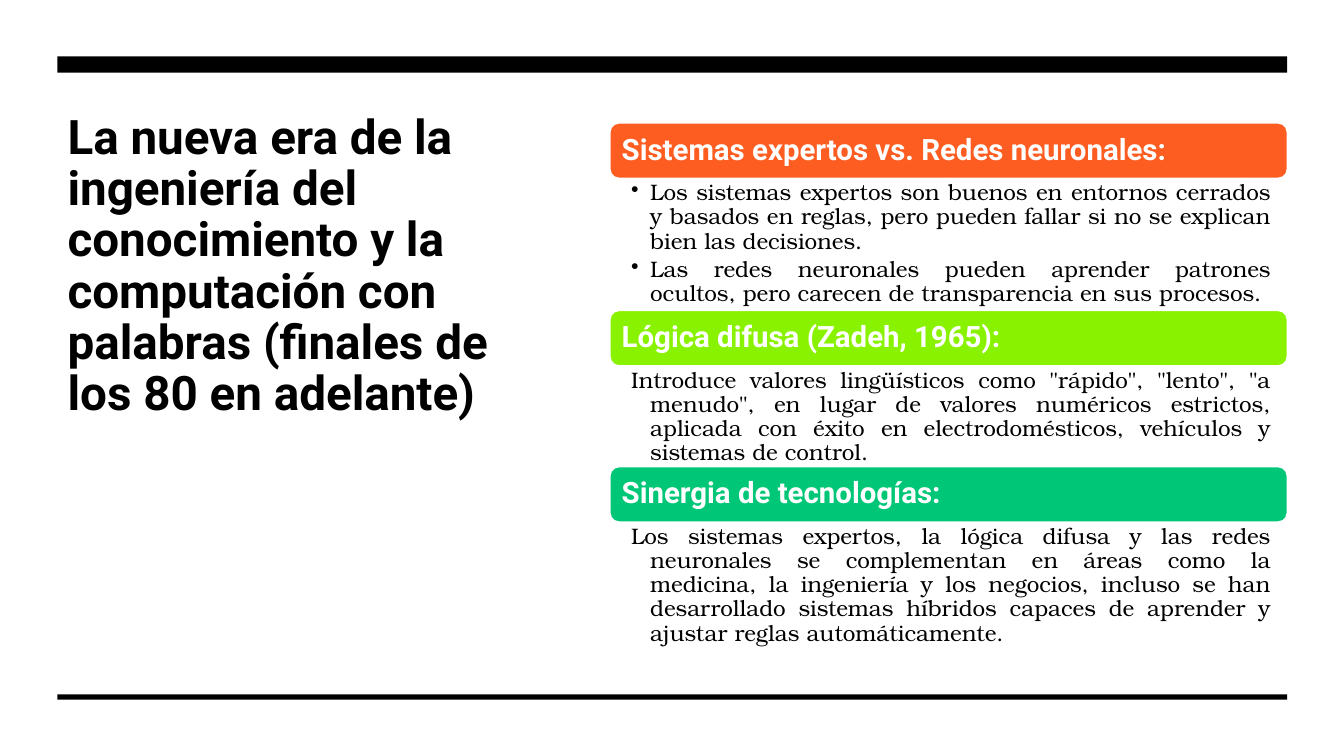
from lxml import etree
from pptx import Presentation
from pptx.dml.color import RGBColor
from pptx.enum.shapes import MSO_SHAPE
from pptx.enum.text import MSO_ANCHOR, MSO_AUTO_SIZE, PP_ALIGN
from pptx.oxml.ns import qn
from pptx.util import Inches, Pt

RECT, ROUNDED = MSO_SHAPE.RECTANGLE, MSO_SHAPE.ROUNDED_RECTANGLE
TOP, MIDDLE = MSO_ANCHOR.TOP, MSO_ANCHOR.MIDDLE
LEFT, JUSTIFY = PP_ALIGN.LEFT, PP_ALIGN.JUSTIFY
NO_FIT = MSO_AUTO_SIZE.NONE

COLORS = {
    "black": "000000",
    "white": "FFFFFF",
    "orange": "FE5D21",
    "lime": "89F201",
    "green": "00C777",
}
HEADING_FONT, BODY_FONT = "Roboto", "TeX Gyre Bonum"

SECTIONS = [
    ("Sistemas expertos vs. Redes neuronales:", "orange", 17.47, "•", [
        "Los sistemas expertos son buenos en entornos cerrados y basados en reglas, "
        "pero pueden fallar si no se explican bien las decisiones.",
        "Las redes neuronales pueden aprender patrones ocultos, "
        "pero carecen de transparencia en sus procesos.",
    ]),
    ("Lógica difusa (Zadeh, 1965):", "lime", 13.33, None, [
        'Introduce valores lingüísticos como "rápido", "lento", "a menudo", '
        "en lugar de valores numéricos estrictos, aplicada con éxito en "
        "electrodomésticos, vehículos y sistemas de control.",
    ]),
    ("Sinergia de tecnologías:", "green", 16.53, None, [
        "Los sistemas expertos, la lógica difusa y las redes neuronales se "
        "complementan en áreas como la medicina, la ingeniería y los negocios, "
        "incluso se han desarrollado sistemas híbridos capaces de aprender y "
        "ajustar reglas automáticamente.",
    ]),
]

deck = Presentation()
deck.slide_width, deck.slide_height = Inches(13.33), Inches(7.5)
slide = deck.slides.add_slide(deck.slide_layouts[5])
slide.background.fill.solid()
slide.background.fill.fore_color.rgb = RGBColor.from_string(COLORS["white"])


def area(left, top, width, height):
    column, row = deck.slide_width / 100, deck.slide_height / 100
    return [round(n) for n in (left * column, top * row, width * column, height * row)]


def write(frame, paragraphs, size, font, color="black", bold=False, align=LEFT,
          anchor=TOP, insets=(0.1, 0.05, 0.1, 0.05), after=0, hanging=0, bullet=None):
    frame.word_wrap = True
    frame.auto_size = NO_FIT
    frame.vertical_anchor = anchor
    (frame.margin_left, frame.margin_top,
     frame.margin_right, frame.margin_bottom) = map(Inches, insets)
    for index, text in enumerate(paragraphs):
        paragraph = frame.add_paragraph() if index else frame.paragraphs[0]
        paragraph.alignment = align
        paragraph.line_spacing = 0.9
        paragraph.space_before, paragraph.space_after = Pt(0), Pt(after)
        run = paragraph.add_run()
        run.text = text
        run.font.size, run.font.name, run.font.bold = Pt(size), font, bold
        run.font.color.rgb = RGBColor.from_string(COLORS[color])
        if hanging:
            paragraph.level = 1
            properties = paragraph._p.get_or_add_pPr()
            properties.set("marL", str(Inches(hanging)))
            properties.set("indent", str(-Inches(hanging)))
            if bullet:
                etree.SubElement(properties, qn("a:buChar")).set("char", bullet)
            else:
                etree.SubElement(properties, qn("a:buNone"))


MARGIN, CONTENT_WIDTH = 4.28, 91.5
PANEL_LEFT, PANEL_WIDTH = 45.38, 50.4
PANEL_TOP, HEADING_HEIGHT = 16.27, 7.33

title = slide.shapes.title
title.left, title.top, title.width, title.height = area(MARGIN, 14.27, 35.18, 49.07)
write(title.text_frame,
      ["La nueva era de la ingeniería del conocimiento y la computación "
       "con palabras (finales de los 80 en adelante)"],
      34, HEADING_FONT, bold=True)

for rule_top, thickness in ((7.47, 2.13), (91.87, 0.67)):
    rule = slide.shapes.add_shape(RECT, *area(MARGIN, rule_top, CONTENT_WIDTH, thickness))
    rule.shadow.inherit = False
    rule.fill.solid()
    rule.fill.fore_color.rgb = RGBColor.from_string(COLORS["black"])
    rule.line.fill.background()

section_top = PANEL_TOP
for heading, color, details_height, bullet, details in SECTIONS:
    banner = slide.shapes.add_shape(
        ROUNDED, *area(PANEL_LEFT, section_top, PANEL_WIDTH, HEADING_HEIGHT))
    banner.shadow.inherit = False
    banner.fill.solid()
    banner.fill.fore_color.rgb = RGBColor.from_string(COLORS[color])
    banner.line.color.rgb = RGBColor.from_string(COLORS["white"])
    banner.line.width = Pt(1)
    write(banner.text_frame, [heading], 21, HEADING_FONT, color="white", bold=True,
          anchor=MIDDLE, insets=(0.09, 0.09, 0.09, 0.09))

    details_top = section_top + HEADING_HEIGHT
    explanation = slide.shapes.add_textbox(
        *area(PANEL_LEFT, details_top, PANEL_WIDTH, details_height))
    write(explanation.text_frame, details, 16, BODY_FONT, align=JUSTIFY,
          insets=(0.21, 0.03, 0.16, 0.03), after=3.2, hanging=0.19, bullet=bullet)
    section_top = details_top + details_height

deck.save("out.pptx")
